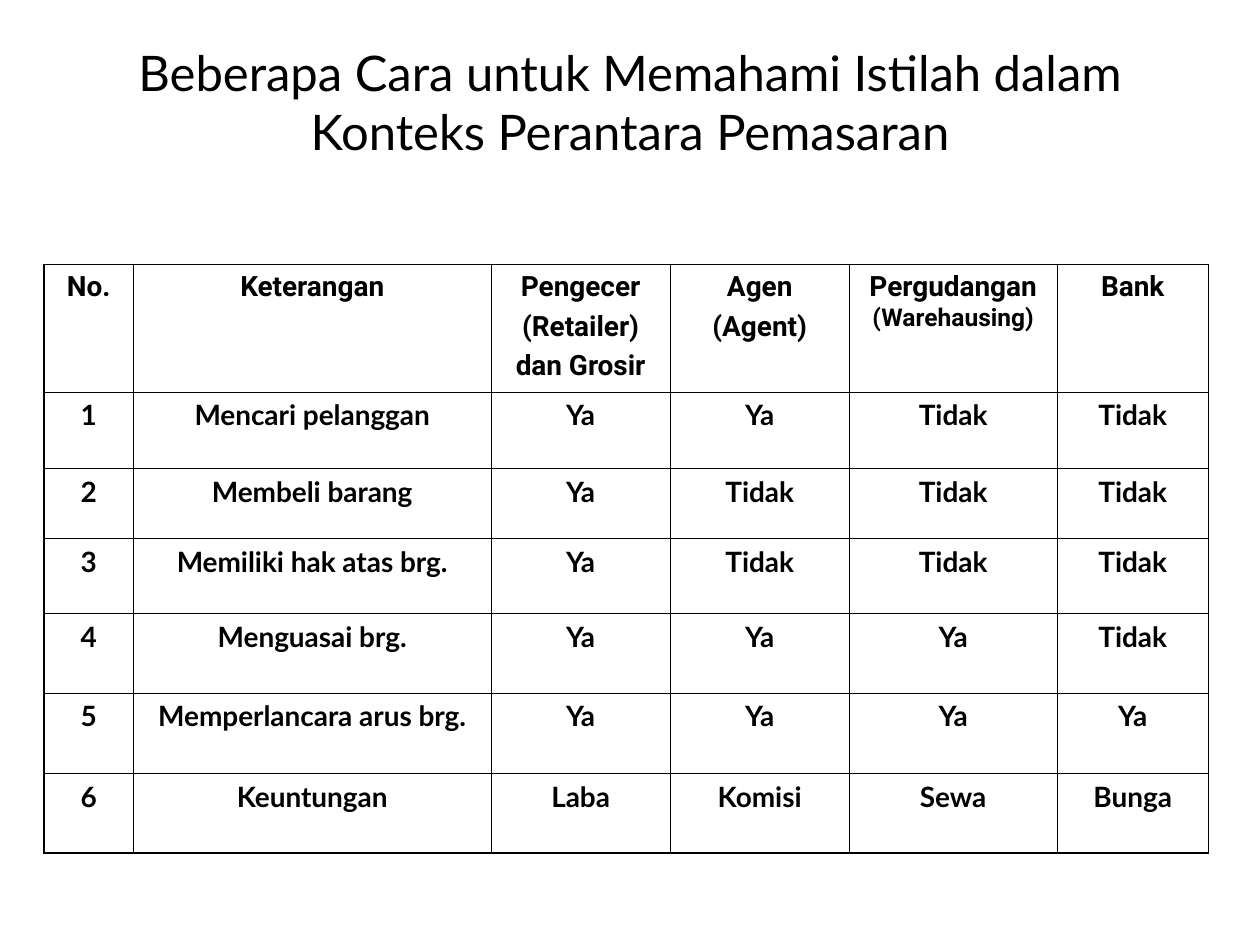
from dataclasses import dataclass

from lxml import etree
from pptx import Presentation
from pptx.dml.color import RGBColor
from pptx.enum.text import MSO_ANCHOR, PP_ALIGN
from pptx.oxml.ns import qn
from pptx.util import Cm, Pt

CENTER = PP_ALIGN.CENTER
MIDDLE = MSO_ANCHOR.MIDDLE
TOP = MSO_ANCHOR.TOP


@dataclass(frozen=True)
class Theme:
    ink: str = "000000"
    body: str = "Lato"
    head: str = "Roboto"
    title: float = 28
    cell: float = 16
    small: float = 14
    gap: float = 4
    thin: float = 0.45
    thick: float = 1.08


THEME = Theme()
TITLE = "Beberapa Cara untuk Memahami Istilah dalam Konteks Perantara Pemasaran"
HEADS = [
    [[("No.", THEME.cell)]],
    [[("Keterangan", THEME.cell)]],
    [[(line, THEME.cell)] for line in ("Pengecer", "(Retailer)", "dan Grosir")],
    [[(line, THEME.cell)] for line in ("Agen", "(Agent)")],
    [[("Pergudangan ", THEME.cell), ("(Warehausing)", THEME.small)]],
    [[("Bank", THEME.cell)]],
]
ROWS = [
    ("Mencari pelanggan", "Ya", "Ya", "Tidak", "Tidak"),
    ("Membeli barang", "Ya", "Tidak", "Tidak", "Tidak"),
    ("Memiliki hak atas brg.", "Ya", "Tidak", "Tidak", "Tidak"),
    ("Menguasai brg.", "Ya", "Ya", "Ya", "Tidak"),
    ("Memperlancara arus brg.", "Ya", "Ya", "Ya", "Ya"),
    ("Keuntungan", "Laba", "Komisi", "Sewa", "Bunga"),
]
WIDTHS = [1.8, 7.21, 3.61, 3.61, 4.19, 3.05]
HEIGHTS = [2.57, 1.55, 1.4, 1.52, 1.6, 1.63, 1.6]


def add_run(para, text, size, face, bold=False):
    run = para.add_run()
    run.text = text
    font = run.font
    font.name, font.size, font.bold = face, Pt(size), bold
    font.color.rgb = RGBColor.from_string(THEME.ink)


def add_title(slide):
    box = slide.shapes.add_textbox(Cm(1.27), Cm(0.76), Cm(22.86), Cm(2.57))
    frame = box.text_frame
    frame.word_wrap = True
    frame.vertical_anchor = MIDDLE
    para = frame.paragraphs[0]
    para.alignment = CENTER
    add_run(para, TITLE, THEME.title, THEME.body)


def set_edges(cell, edges):
    props = cell._tc.get_or_add_tcPr()
    for spot, (side, width) in enumerate(edges.items()):
        line = etree.Element(qn(f"a:ln{side}"), w=str(int(Pt(width))))
        fill = etree.SubElement(line, qn("a:solidFill"))
        etree.SubElement(fill, qn("a:srgbClr"), val=THEME.ink)
        props.insert(spot, line)


def fill_cell(cell, lines, face):
    cell.fill.background()
    cell.vertical_anchor = TOP
    frame = cell.text_frame
    for spot, runs in enumerate(lines):
        para = frame.add_paragraph() if spot else frame.paragraphs[0]
        para.alignment = CENTER
        if spot:
            para.space_before = Pt(THEME.gap)
        for text, size in runs:
            add_run(para, text, size, face, True)


def add_grid(slide):
    body = [
        [[[(text, THEME.cell)]] for text in (str(num), *row)]
        for num, row in enumerate(ROWS, 1)
    ]
    data = [HEADS, *body]
    table = slide.shapes.add_table(
        len(data), len(WIDTHS), Cm(0.89), Cm(5.33),
        Cm(sum(WIDTHS)), Cm(sum(HEIGHTS)),
    ).table
    table.first_row = table.horz_banding = False
    for col, width in zip(table.columns, WIDTHS):
        col.width = Cm(width)
    for row, height in zip(table.rows, HEIGHTS):
        row.height = Cm(height)
    last_row, last_col = len(data) - 1, len(WIDTHS) - 1
    for r, row in enumerate(data):
        for c, lines in enumerate(row):
            cell = table.cell(r, c)
            fill_cell(cell, lines, THEME.body if r else THEME.head)
            outer = {"L": c == 0, "R": c == last_col, "T": r == 0, "B": r == last_row}
            set_edges(cell, {
                side: THEME.thick if edge else THEME.thin
                for side, edge in outer.items()
            })


def main():
    deck = Presentation()
    deck.slide_width, deck.slide_height = Cm(25.4), Cm(19.05)
    slide = deck.slides.add_slide(deck.slide_layouts[6])
    add_title(slide)
    add_grid(slide)
    deck.save("out.pptx")


if __name__ == "__main__":
    main()
